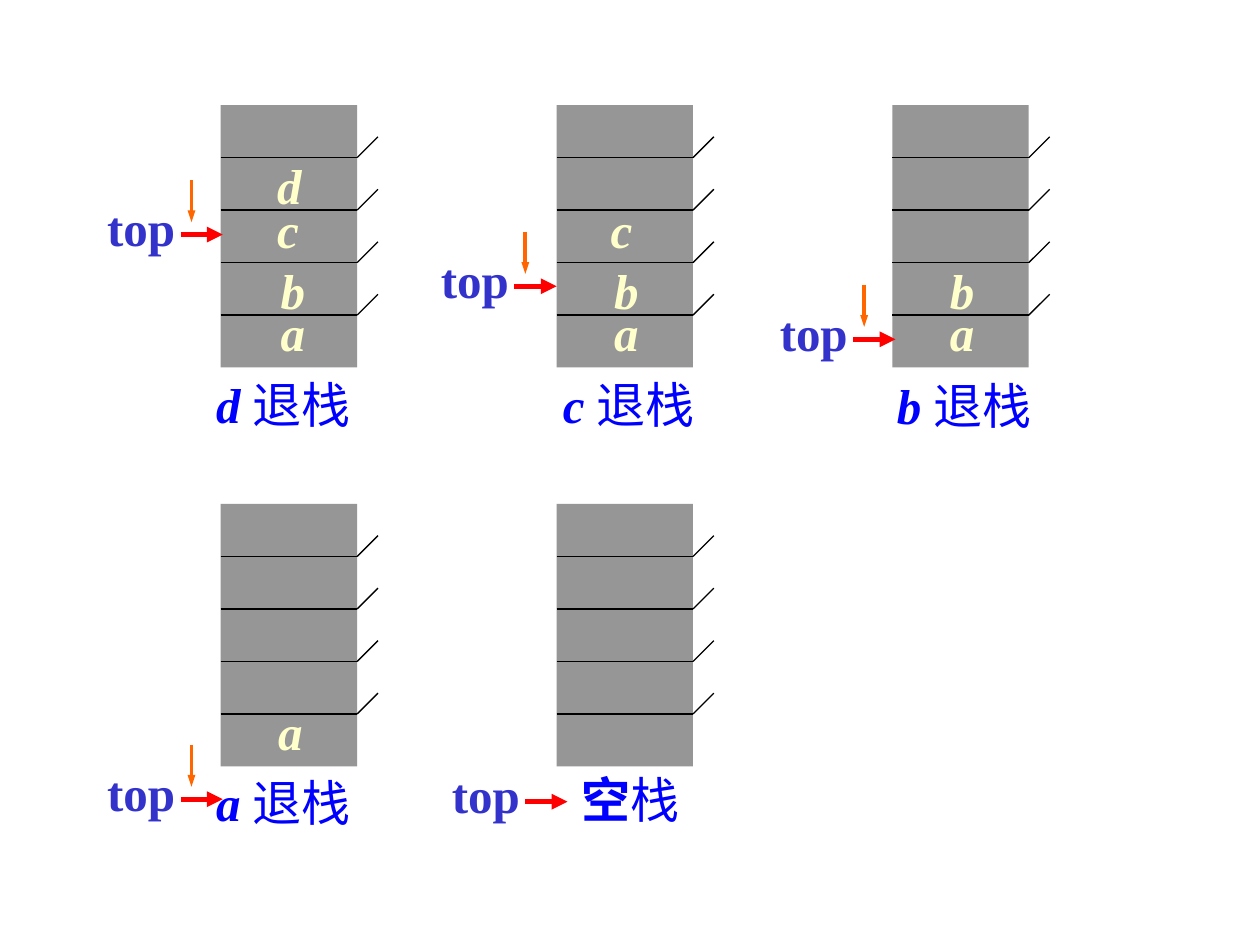
"""Build a slide showing a stack popped step by step until it is empty."""
from lxml.etree import SubElement
from pptx import Presentation
from pptx.dml.color import RGBColor
from pptx.enum.shapes import MSO_CONNECTOR, MSO_SHAPE
from pptx.enum.text import MSO_AUTO_SIZE
from pptx.oxml.ns import qn
from pptx.util import Cm, Pt

COLORS = {"cell": "969696", "rule": "000000", "top": "3333CC", "pointer": "FF0000",
          "move": "FF6600", "item": "FFFFCC", "caption": "0000FF"}
STACK_W, STACK_H, ROWS, TICK = 2.75, 5.29, 5, 0.42
LEFT, PITCH = 4.45, 6.77
ROW_TOPS = [2.12, 10.16]
TEXT_H = 1.45
ITEM_SPOTS = {"a": (0, 3.85), "b": (0, 3.01), "c": (-0.07, 1.78), "d": (-0.07, 0.9)}

STACKS = [
    {"col": 0, "row": 0, "items": "abcd", "inset": 0.96, "top": (1.91, 3.86),
     "caption": (4.11, 7.42, 3.55), "popped": "d"},
    {"col": 1, "row": 0, "items": "abc", "inset": 0.91, "top": (8.64, 4.9),
     "caption": (11.1, 7.42, 3.5), "popped": "c"},
    {"col": 2, "row": 0, "items": "ab", "inset": 0.91, "top": (15.47, 5.97),
     "caption": (17.83, 7.44, 3.55), "popped": "b"},
    {"col": 0, "row": 1, "items": "a", "inset": 0.91, "top": (1.91, 15.24),
     "caption": (4.11, 15.44, 3.55), "popped": "a"},
    {"col": 1, "row": 1, "items": "", "inset": 0.91, "top": (8.86, 15.29),
     "caption": (11.48, 15.39, 2.55), "popped": ""},
]


def add_line(group, x1, y1, x2, y2, color, width, head=None):
    """Draw a straight line, with an arrowhead of the given width at its end."""
    line = group.shapes.add_connector(MSO_CONNECTOR.STRAIGHT, Cm(x1), Cm(y1), Cm(x2), Cm(y2))
    line.line.color.rgb = RGBColor.from_string(COLORS[color])
    line.line.width = Pt(width)
    if head:
        ln = line._element.spPr.find(qn("a:ln"))
        SubElement(ln, qn("a:tailEnd"), type="triangle", w=head)
    SubElement(line._element.spPr, qn("a:effectLst"))


def add_text(group, x, y, width, color, runs):
    """Add one line of text from (text, bold, italic) runs."""
    box = group.shapes.add_textbox(Cm(x), Cm(y), Cm(width), Cm(TEXT_H))
    tf = box.text_frame
    tf.word_wrap = False
    tf.auto_size = MSO_AUTO_SIZE.SHAPE_TO_FIT_TEXT
    p = tf.paragraphs[0]
    p.font.size = Pt(28)
    p.font.name = "Times New Roman"
    p.font.color.rgb = RGBColor.from_string(COLORS[color])
    for text, bold, italic in runs:
        r = p.add_run()
        r.text = text
        r.font.bold, r.font.italic = bold, italic


prs = Presentation()
prs.slide_width, prs.slide_height = Cm(25.4), Cm(19.05)
s = prs.slides.add_slide(prs.slide_layouts[6])

for stack in STACKS:
    group = s.shapes.add_group_shape()
    x, y = LEFT + stack["col"] * PITCH, ROW_TOPS[stack["row"]]
    right = x + STACK_W

    sp = group.shapes.add_shape(MSO_SHAPE.RECTANGLE, Cm(x), Cm(y), Cm(STACK_W), Cm(STACK_H))
    sp.shadow.inherit = False
    sp.fill.solid()
    sp.fill.fore_color.rgb = RGBColor.from_string(COLORS["cell"])
    sp.line.fill.background()
    for i in range(1, ROWS):
        rule_y = y + i * STACK_H / ROWS
        add_line(group, x, rule_y, right, rule_y, "rule", 0.75)
        add_line(group, right, rule_y, right + TICK, rule_y - TICK, "rule", 0.75)

    for item in stack["items"]:
        dx, dy = ITEM_SPOTS[item]
        add_text(group, x + stack["inset"] + dx, y + dy, 0.98, "item", [(item, True, True)])

    if stack["popped"]:
        runs = [(stack["popped"] + " ", True, True), ("退栈", False, False)]
    else:
        runs = [("空", True, False), ("栈", False, False)]
    add_text(group, *stack["caption"], "caption", runs)

    top_x, top_y = stack["top"]
    add_text(group, top_x, top_y, 1.88, "top", [("top", True, False)])
    add_line(group, top_x + 1.73, top_y + 0.87, top_x + 2.58, top_y + 0.87, "pointer", 3, "med")
    if stack["popped"]:
        add_line(group, top_x + 1.95, top_y - 0.23, top_x + 1.95, top_y + 0.62, "move", 2.25, "sm")

prs.save("out.pptx")
